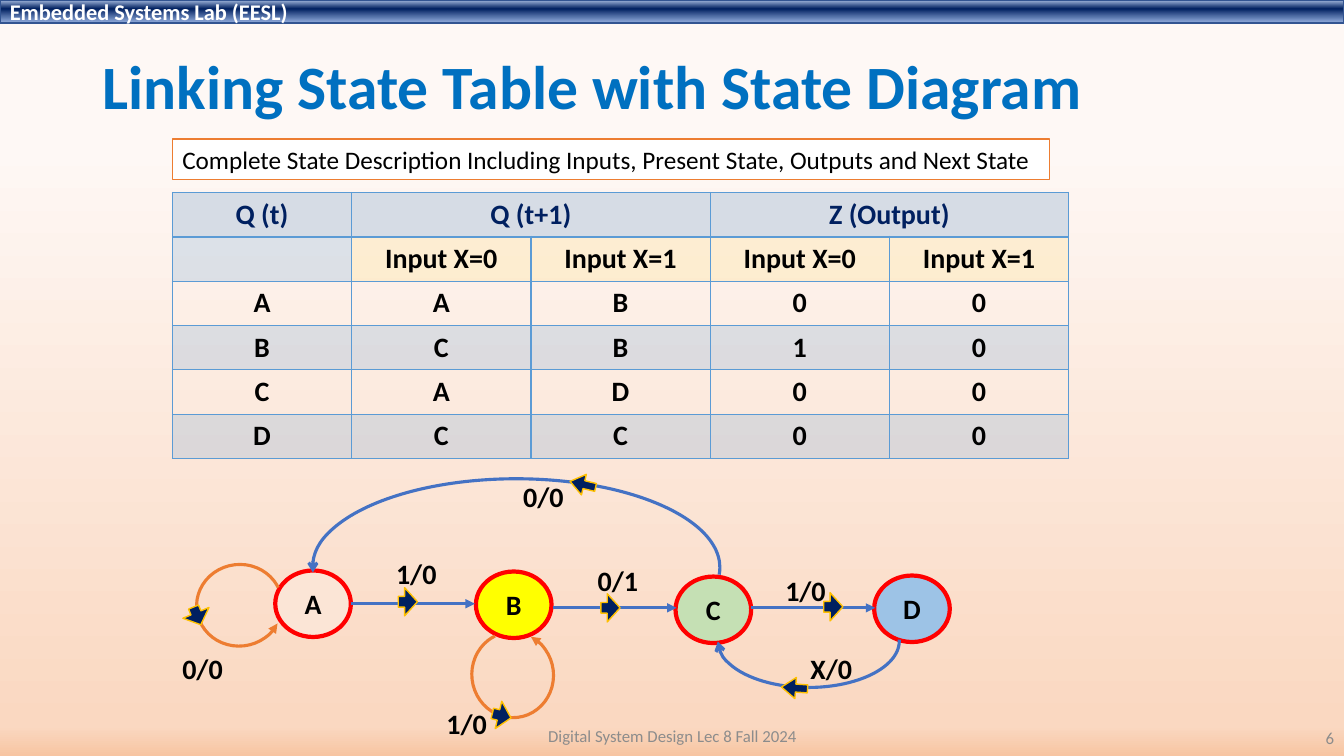
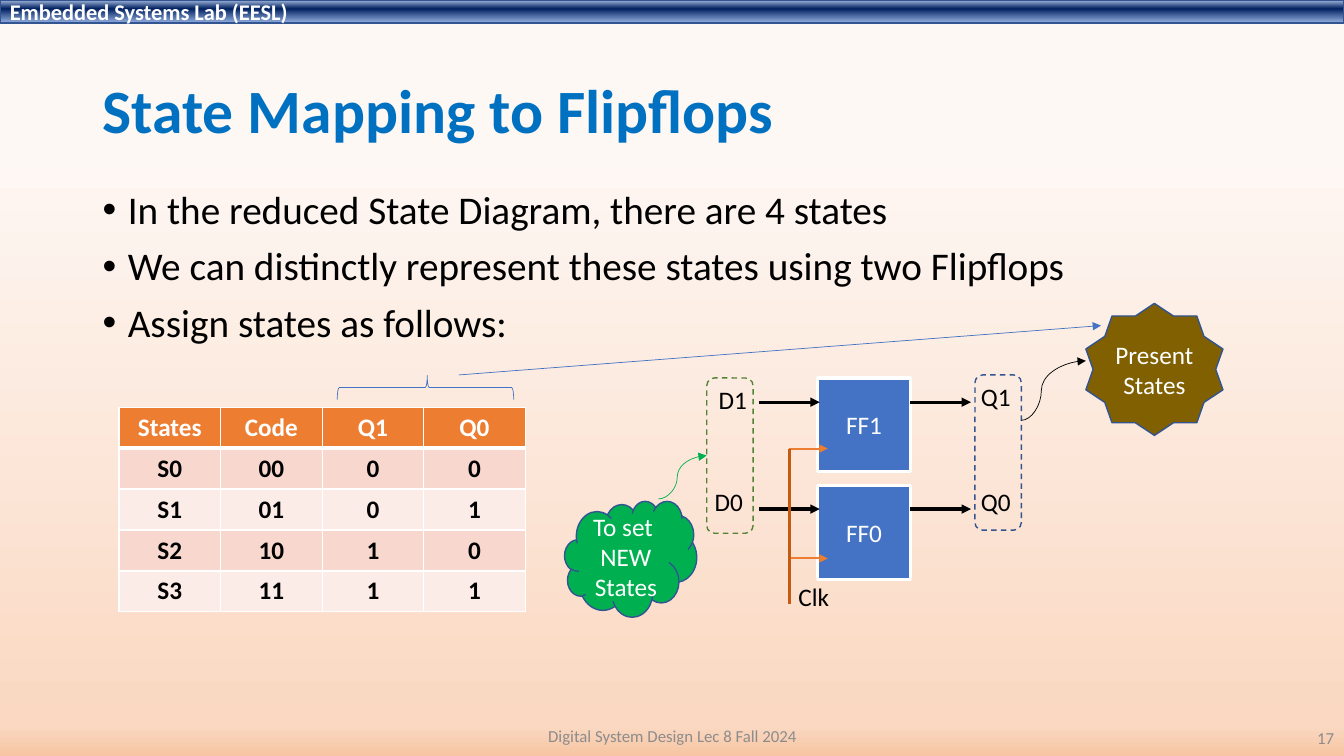
from lxml import etree
from pptx import Presentation
from pptx.dml.color import RGBColor
from pptx.enum.dml import MSO_LINE
from pptx.enum.shapes import MSO_CONNECTOR, MSO_SHAPE
from pptx.enum.text import MSO_ANCHOR, MSO_AUTO_SIZE, PP_ALIGN
from pptx.oxml.ns import qn
from pptx.util import Inches, Pt

LEFT, CENTER, RIGHT = PP_ALIGN.LEFT, PP_ALIGN.CENTER, PP_ALIGN.RIGHT
TOP, MIDDLE = MSO_ANCHOR.TOP, MSO_ANCHOR.MIDDLE
STRAIGHT, CURVE = MSO_CONNECTOR.STRAIGHT, MSO_CONNECTOR.CURVE
RECT, ROUNDED, ELLIPSE = MSO_SHAPE.RECTANGLE, MSO_SHAPE.ROUNDED_RECTANGLE, MSO_SHAPE.OVAL
ARC, BLOCK_ARROW, BRACE = MSO_SHAPE.ARC, MSO_SHAPE.RIGHT_ARROW, MSO_SHAPE.RIGHT_BRACE
CLOUD, STAR = MSO_SHAPE.CLOUD, MSO_SHAPE.STAR_10_POINT
DASH = MSO_LINE.DASH
FIT_SHAPE = MSO_AUTO_SIZE.SHAPE_TO_FIT_TEXT

FONT = "Calibri"
C = {
    "title": "0070C0", "text": "000000", "white": "FFFFFF", "footer": "8C8C8C",
    "navy": "002060", "outline": "325491", "blue": "4472C4", "orange": "ED7D31",
    "rust": "C55A11", "gold": "FFC000", "red": "FF0000", "sky": "5B9BD5",
    "head": "D6DCE5", "input": "FFD966", "stateA": "FBE5D6", "stateB": "FFFF00",
    "stateC": "C5E0B4", "stateD": "9DC3E6", "odd": "F8D7CE", "even": "FCECE8",
    "green": "00B050", "moss": "548235", "brown": "806000",
}
BACKDROP = [(19, "FEF8F5", 97), (96, "FAD8C1", 100), (100, "F7C5A2", 100)]
BAND = [(2, "ABC0E4", 100), (38, "002060", 100), (93, "7E9ED6", 87)]


def rgb(name):
    return RGBColor.from_string(C[name])


def inches(box):
    return [Inches(length) for length in box]


def within(region, x, y, *size):
    return (region[0] + x, region[1] + y, *size)


def paint_gradient(fill, element, stops):
    fill.gradient()
    fill.gradient_angle = 270
    stop_list = element.find(".//" + qn("a:gsLst"))
    for old in list(stop_list):
        stop_list.remove(old)
    for position, color, opacity in stops:
        stop = etree.SubElement(stop_list, qn("a:gs"), pos=str(position * 1000))
        tint = etree.SubElement(stop, qn("a:srgbClr"), val=color)
        if opacity < 100:
            etree.SubElement(tint, qn("a:alpha"), val=str(opacity * 1000))


def write(frame, lines, size, color="text", bold=False, align=LEFT, anchor=TOP):
    frame.vertical_anchor = anchor
    for i, line in enumerate(lines):
        paragraph = frame.paragraphs[0] if i == 0 else frame.add_paragraph()
        paragraph.alignment = align
        run = paragraph.add_run()
        run.text = line
        font = run.font
        font.name, font.size, font.bold = FONT, Pt(size), bold
        font.color.rgb = rgb(color)


def add_text(slide, box, lines, size, wrap=True, **style):
    frame = slide.shapes.add_textbox(*inches(box)).text_frame
    frame.word_wrap = wrap
    if not wrap:
        frame.auto_size = FIT_SHAPE
    write(frame, lines, size, **style)
    return frame


def add_figure(slide, kind, box, fill=None, line="outline", width=1, adjust=(),
               rotation=0, flips=()):
    figure = slide.shapes.add_shape(kind, *inches(box))
    figure.shadow.inherit = False
    if fill:
        figure.fill.solid()
        figure.fill.fore_color.rgb = rgb(fill)
    else:
        figure.fill.background()
    figure.line.color.rgb = rgb(line)
    figure.line.width = Pt(width)
    for i, value in enumerate(adjust):
        figure.adjustments[i] = value
    figure.rotation = rotation
    for flip in flips:
        figure._element.spPr.find(qn("a:xfrm")).set(flip, "1")
    return figure


def add_arrowheads(figure, head=None, tail=None):
    outline = figure._element.spPr.find(qn("a:ln"))
    for end, style in (("a:headEnd", head), ("a:tailEnd", tail)):
        if style:
            etree.SubElement(outline, qn(end), type=style)


def connect(slide, start, end, color, width, head=None, tail="triangle", bend=None):
    kind = STRAIGHT if bend is None else CURVE
    link = slide.shapes.add_connector(kind, *inches((*start, *end)))
    link.line.color.rgb = rgb(color)
    link.line.width = Pt(width)
    add_arrowheads(link, head, tail)
    properties = link._element.spPr
    etree.SubElement(properties, qn("a:effectLst"))
    if bend is not None:
        guides = properties.find(qn("a:prstGeom")).find(qn("a:avLst"))
        etree.SubElement(guides, qn("a:gd"), name="adj1", fmla=f"val {round(bend * 100000)}")


def border_cell(cell, color, widths):
    properties = cell._tc.get_or_add_tcPr()
    for i, (side, width) in enumerate(zip("LRTB", widths)):
        edge = etree.Element(qn(f"a:ln{side}"), w=str(Pt(width)))
        paint = etree.SubElement(edge, qn("a:solidFill"))
        etree.SubElement(paint, qn("a:srgbClr"), val=C[color])
        properties.insert(i, edge)


def add_grid(slide, box, rows, size, border, rule, cell_style):
    table = slide.shapes.add_table(len(rows), len(rows[0]), *inches(box)).table
    table.first_row = table.horz_banding = False
    for r, row in enumerate(rows):
        for c, value in enumerate(row):
            cell = table.cell(r, c)
            fill, opacity, color = cell_style(r, c)
            if fill:
                cell.fill.solid()
                cell.fill.fore_color.rgb = rgb(fill)
                if opacity < 100:
                    tint = cell._tc.tcPr.find(".//" + qn("a:srgbClr"))
                    etree.SubElement(tint, qn("a:alpha"), val=str(opacity * 1000))
            else:
                cell.fill.background()
            border_cell(cell, border, (1, 1, rule if r == 1 else 1, rule if r == 0 else 1))
            if value:
                write(cell.text_frame, [value], size, color, bold=True, align=CENTER)
    return table


def start_slide(deck, title, title_height, number):
    slide = deck.slides.add_slide(deck.slide_layouts[6])
    paint_gradient(slide.background.fill, slide._element, BACKDROP)
    band = add_figure(slide, RECT, (0, 0, 13.33, 0.23))
    paint_gradient(band.fill, band._element.spPr, BAND)
    write(band.text_frame, ["Embedded Systems Lab (EESL)"], 16, "white", True, anchor=MIDDLE)
    heading = add_text(slide, (0.92, 0.4, 11.5, title_height), [title], 44,
                       color="title", bold=True, anchor=MIDDLE)
    heading.paragraphs[0].line_spacing = 0.9
    add_text(slide, (4.42, 7.1, 4.5, 0.4), ["Digital System Design Lec 8 Fall 2024"], 12,
             color="footer", align=CENTER, anchor=MIDDLE)
    add_text(slide, (10.33, 7.12, 3, 0.4), [number], 12,
             color="footer", align=RIGHT, anchor=MIDDLE)
    return slide


def state_table_style(r, c):
    if r == 0:
        return "head", 100, "navy"
    if r == 1 and c > 0:
        return "input", 20, "text"
    return ("sky" if r % 2 else None), 20, "text"


def add_state_table(slide, region):
    caption = add_figure(slide, RECT, within(region, 0, 0, 8.7, 0.4), "white", "orange")
    caption.text_frame.word_wrap = False
    caption.text_frame.auto_size = FIT_SHAPE
    write(caption.text_frame, ["Complete State Description Including Inputs, "
                               "Present State, Outputs and Next State"], 18)
    rows = [["Q (t)", "Q (t+1)", "", "Z (Output)", ""],
            ["", *["Input X=0", "Input X=1"] * 2],
            *map(list, ("AAB00", "BCB10", "CAD00", "DCC00"))]
    table = add_grid(slide, within(region, 0, 0.53, 8.89, 2.64), rows, 20, "sky", 2,
                     state_table_style)
    for c in (1, 3):
        table.cell(0, c).merge(table.cell(0, c + 1))


def add_state_diagram(slide, region):
    for name, x, y in (("A", 1.03, 0.96), ("B", 3.02, 0.97), ("C", 5, 1.02), ("D", 6.97, 1.01)):
        state = add_figure(slide, ELLIPSE, within(region, x, y, 0.75, 0.66),
                           "state" + name, "red", 3)
        write(state.text_frame, [name], 20, bold=True, align=CENTER, anchor=MIDDLE)
    for place, adjust, flips in (
            ((1.4, 0.05, 4.04, 1.76), (106.79, 0.84), ("flipH",)),
            ((5.42, 1.2, 1.8, 0.92), (107.47, 215.84), ("flipH", "flipV"))):
        return_path = add_figure(slide, ARC, within(region, *place), None, "blue", 2.25,
                                 adjust, flips=flips)
        add_arrowheads(return_path, tail="arrow")
    for x, y, rotation in ((0.25, 0.9, 353.5), (2.96, 1.59, 263.5)):
        self_loop = add_figure(slide, ARC, within(region, x, y, 0.85, 0.81), None, "orange",
                               2.25, (19.25, 205.2), rotation)
        add_arrowheads(self_loop, head="triangle")
    for x, y in ((1.78, 1.29), (3.78, 1.33), (5.75, 1.33)):
        connect(slide, within(region, x, y), within(region, x + 1.23, y), "blue", 2.25)
    tall, wide = (0.19, 0.28), (0.26, 0.21)
    for x, y, size, rotation, flips in (
            (6.05, 2.02, wide, 184.1, ()), (3.95, 0, wide, 193.4, ()),
            (0.16, 1.27, tall, 67.6, ()), (2.25, 1.13, tall, 0, ()),
            (4.26, 1.19, tall, 0, ()), (6.47, 1.18, tall, 0, ()),
            (3.18, 2.26, tall, 193.4, ("flipH",))):
        add_figure(slide, BLOCK_ARROW, within(region, x, y, *size), "navy", "gold", 1,
                   (0.38, 0.67), rotation, flips)
    for label, x, y in (("X/0", 6.24, 1.71), ("0/0", 3.39, 0.01), ("1/0", 5.99, 0.94),
                        ("0/1", 4.13, 0.84), ("1/0", 2.13, 0.77), ("0/0", 0.01, 1.71),
                        ("1/0", 2.63, 2.26)):
        add_text(slide, within(region, x, y, 0.7, 0.44), [label], 20, wrap=False, bold=True)


def add_bullets(slide, box, lines):
    frame = add_text(slide, box, lines, 28)
    for i, paragraph in enumerate(frame.paragraphs):
        paragraph.line_spacing = 0.9
        if i:
            paragraph.space_before = Pt(10)
        properties = paragraph._p.get_or_add_pPr()
        properties.set("marL", str(Inches(0.25)))
        properties.set("indent", str(Inches(-0.25)))
        etree.SubElement(properties, qn("a:buFont"), typeface="Arial")
        etree.SubElement(properties, qn("a:buChar"), char="•")


def code_table_style(r, c):
    if r == 0:
        return "orange", 100, "white"
    return ("odd" if r % 2 else "even"), 100, "text"


def add_code_table(slide, region):
    codes = [f"{state:02b}" for state in range(4)]
    rows = [["States", "Code", "Q1", "Q0"],
            *[[f"S{i}", code, *code] for i, code in enumerate(codes)]]
    add_grid(slide, within(region, 0, 0.34, 4.03, 2.03), rows, 18, "white", 3, code_table_style)
    add_figure(slide, BRACE, within(region, 2.92, -0.73, 0.24, 1.75), None, "blue", 0.5,
               (0.08, 0.51), 270)


def add_circuit(slide, region):
    for name, y in (("FF1", 0.75), ("FF0", 1.82)):
        flipflop = add_figure(slide, RECT, within(region, 2.51, y, 0.92, 0.93),
                              "blue", "white", 2.25)
        write(flipflop.text_frame, [name], 18, "white", align=CENTER, anchor=MIDDLE)
    for x in (1.93, 3.43):
        for y in (0.99, 2.05):
            connect(slide, within(region, x, y), within(region, x + 0.6, y), "text", 2.25)
    for y in (1.45, 2.54):
        connect(slide, within(region, 2.23, y), within(region, 2.61, y), "orange", 1.5)
    connect(slide, within(region, 2.23, 1.45), within(region, 2.23, 2.99), "rust", 1.5, tail=None)
    for label, x, y in (("Clk", 2.22, 2.72), ("D1", 1.43, 0.76), ("D0", 1.39, 1.78),
                        ("Q1", 4.03, 0.73), ("Q0", 4.03, 1.78)):
        add_text(slide, within(region, x, y, 0.6, 0.4), [label], 18, wrap=False)
    for x, y, color in ((4.07, 0.72, "outline"), (1.41, 0.75, "moss")):
        signals = add_figure(slide, ROUNDED, within(region, x, y, 0.46, 1.54), None, color)
        signals.line.dash_style = DASH
    connect(slide, within(region, 4.53, 1.17), within(region, 5.17, 0.58), "text", 0.5,
            bend=0.31)
    connect(slide, within(region, 1.41, 1.52), within(region, 0.93, 1.95), "green", 0.5,
            head="triangle", tail=None, bend=0.61)
    for kind, place, fill, lines in (
            (CLOUD, (0, 1.97, 1.31, 1.15), "green", ["To set ", "NEW", "States"]),
            (STAR, (5.17, 0.01, 1.36, 1.31), "brown", ["Present", "States"])):
        callout = add_figure(slide, kind, within(region, *place), fill)
        write(callout.text_frame, lines, 18, "white", align=CENTER, anchor=MIDDLE)


def build_linking_slide(deck):
    slide = start_slide(deck, "Linking State Table with State Diagram", 0.98, "6")
    add_state_table(slide, (1.71, 1.38, 8.89, 3.17))
    add_state_diagram(slide, (1.7, 4.7, 7.75, 2.7))


def build_mapping_slide(deck):
    slide = start_slide(deck, "State Mapping to Flipflops", 1.45, "17")
    add_bullets(slide, (0.92, 1.84, 11.5, 1.75), [
        "In the reduced State Diagram, there are 4 states",
        "We can distinctly represent these states using two Flipflops",
        "Assign states as follows:"])
    add_code_table(slide, (1.18, 3.7, 4.03, 2.37))
    add_circuit(slide, (5.6, 3, 6.53, 3.12))
    connect(slide, (4.55, 3.72), (10.92, 3.23), "blue", 0.5)


def main():
    deck = Presentation()
    deck.slide_width, deck.slide_height = Inches(13.33), Inches(7.5)
    build_linking_slide(deck)
    build_mapping_slide(deck)
    deck.save("out.pptx")


if __name__ == "__main__":
    main()
